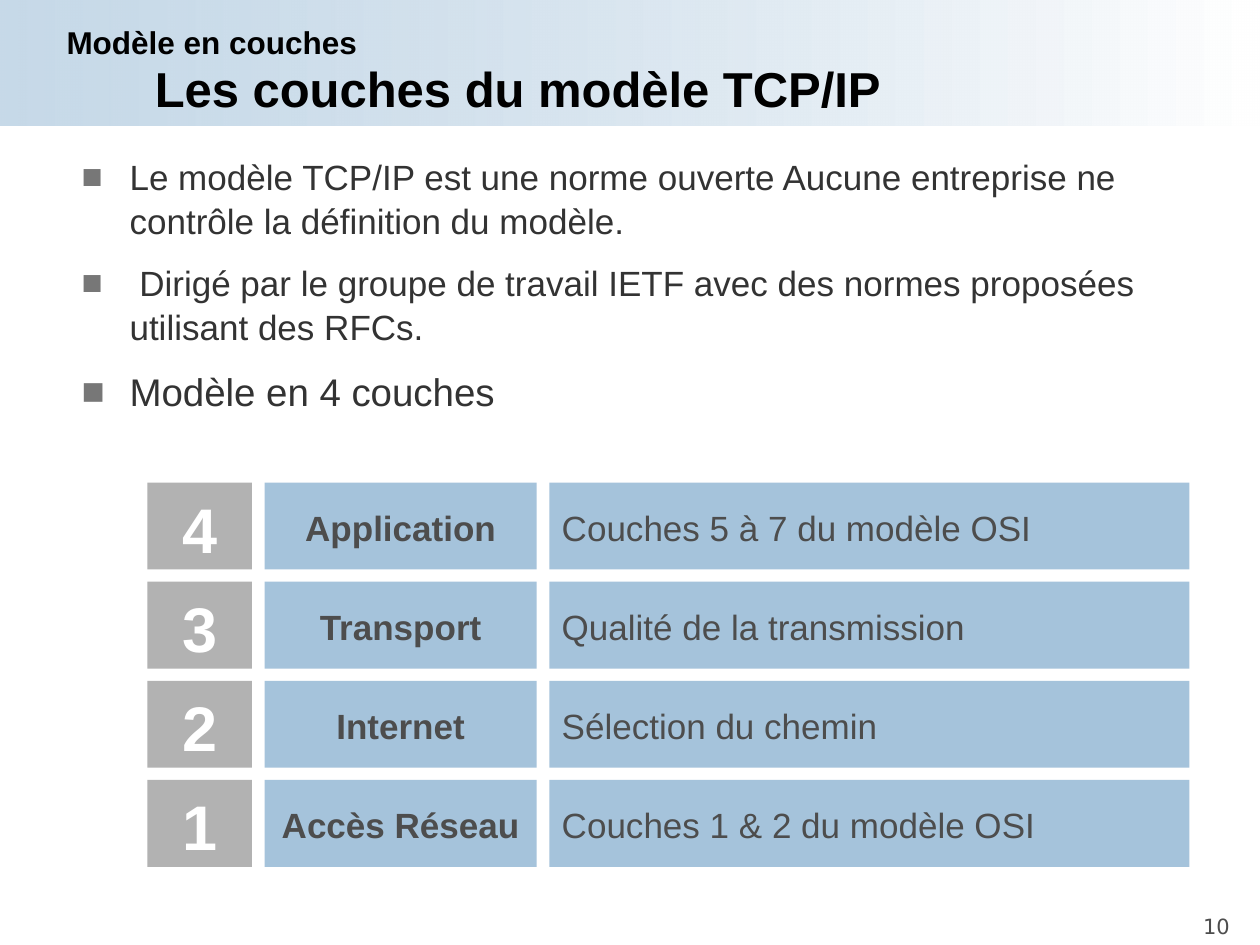
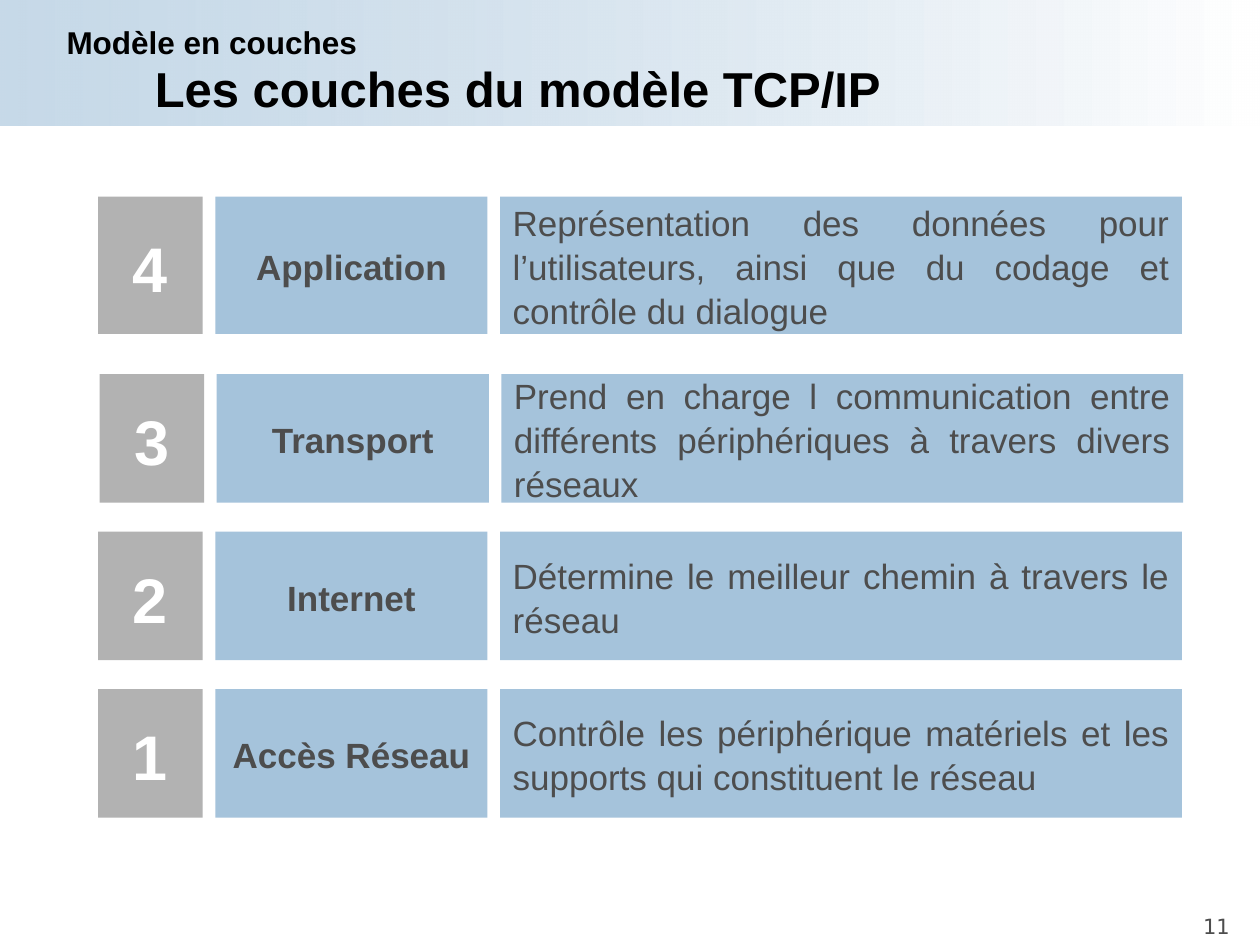
from lxml.etree import SubElement
from pptx import Presentation
from pptx.dml.color import RGBColor
from pptx.enum.shapes import MSO_SHAPE as Shape
from pptx.enum.text import MSO_ANCHOR as Anchor, MSO_AUTO_SIZE as AutoSize, PP_ALIGN as Align
from pptx.oxml.ns import qn
from pptx.util import Inches, Pt

COLORS = {
    "blue": "A5C3DB",
    "gray": "B2B2B2",
    "white": "FFFFFF",
    "black": "000000",
    "body": "333333",
    "label": "4D4D4D",
    "bullet": "777777",
}
LAYERS = ["Application", "Transport", "Internet", "Accès Réseau"]
NUMBER_W, NAME_W, GAP = 0.83, 2.16, 0.1


def rgb(name):
    return RGBColor.from_string(COLORS[name])


class Deck:
    font = "Arial"
    line_spacing = 1.05

    def __init__(self):
        self.prs = Presentation()
        self.prs.slide_width, self.prs.slide_height = Inches(10), Inches(7.5)
        self.s = None

    def slide(self, number):
        self.s = self.prs.slides.add_slide(self.prs.slide_layouts[6])
        self.band()
        self.text(9.45, 7.19, 0.55, 0.3, str(number), 12, "label", font="DejaVu Sans")
        self.text(1.13, 0.44, 8.45, 0.49, "Les couches du modèle TCP/IP", 28,
                  bold=True, anchor=Anchor.MIDDLE)
        self.text(0.43, 0.12, 8.94, 0.4, "Modèle en couches", 18, bold=True)

    def rect(self, x, y, w, h):
        sp = self.s.shapes.add_shape(Shape.RECTANGLE, Inches(x), Inches(y), Inches(w), Inches(h))
        sp.shadow.inherit = False
        sp.line.fill.background()
        return sp

    def band(self):
        sp = self.rect(0, 0, 10, 1)
        sp.fill.gradient()
        sp.fill.gradient_angle = 0
        for stop, color, position in zip(sp.fill.gradient_stops, ("blue", "white"), (0, 1)):
            stop.color.rgb = rgb(color)
            stop.position = position
        first = next(sp._element.iter(qn("a:srgbClr")))
        SubElement(first, qn("a:alpha"), val="62000")

    def run(self, p, text, size, color, bold=False, align=Align.LEFT, font=None):
        p.alignment = align
        p.line_spacing = self.line_spacing
        r = p.add_run()
        r.text = text
        r.font.name = font or self.font
        r.font.size = Pt(size)
        r.font.bold = bold
        r.font.color.rgb = rgb(color)

    def frame(self, x, y, w, h, anchor=Anchor.TOP):
        tf = self.s.shapes.add_textbox(Inches(x), Inches(y), Inches(w), Inches(h)).text_frame
        tf.word_wrap = True
        tf.vertical_anchor = anchor
        tf.auto_size = AutoSize.SHAPE_TO_FIT_TEXT if anchor == Anchor.TOP else AutoSize.NONE
        return tf

    def text(self, x, y, w, h, text, size, color="black", bold=False, anchor=Anchor.TOP, font=None):
        tf = self.frame(x, y, w, h, anchor)
        self.run(tf.paragraphs[0], text, size, color, bold, font=font)

    def bullets(self, x, y, w, h, items):
        tf = self.frame(x, y, w, h)
        for i, (text, size) in enumerate(items):
            p = tf.add_paragraph() if i else tf.paragraphs[0]
            self.run(p, text, size, "body")
            p.space_before, p.space_after = Pt(size * 0.2), Pt(size * 0.3)
            pPr = p._p.get_or_add_pPr()
            pPr.set("marL", str(Inches(0.38)))
            pPr.set("indent", str(-Inches(0.38)))
            color = SubElement(pPr, qn("a:buClr"))
            SubElement(color, qn("a:srgbClr"), val=COLORS["bullet"])
            SubElement(pPr, qn("a:buFont"), typeface=self.font)
            SubElement(pPr, qn("a:buChar"), char="■")

    def box(self, x, y, w, h, text, fill="blue", size=20, color="label", bold=False,
            align=Align.CENTER):
        sp = self.rect(x, y, w, h)
        sp.fill.solid()
        sp.fill.fore_color.rgb = rgb(fill)
        tf = sp.text_frame
        tf.word_wrap = True
        tf.vertical_anchor = Anchor.MIDDLE
        self.run(tf.paragraphs[0], text, size, color, bold, align)

    def layer(self, x, y, h, number, name, role, role_w, align):
        name_x = x + NUMBER_W + GAP
        role_x = name_x + NAME_W + GAP
        self.box(x, y, NUMBER_W, h, str(number), "gray", 36, "white", True)
        self.box(name_x, y, NAME_W, h, name, bold=True)
        self.box(role_x, y, role_w, h, role, align=align)

    def layers(self, rows, role_w, align):
        for i, (name, (x, y, h, role)) in enumerate(zip(LAYERS, rows)):
            self.layer(x, y, h, len(LAYERS) - i, name, role, role_w, align)


def main():
    deck = Deck()

    deck.slide(10)
    roles = ["Couches 5 à 7 du modèle OSI", "Qualité de la transmission",
             "Sélection du chemin", "Couches 1 & 2 du modèle OSI"]
    step = (6.19 - 3.83) / 3
    deck.layers([(1.17, 3.83 + i * step, 0.69, role) for i, role in enumerate(roles)],
                5.08, Align.LEFT)
    deck.bullets(0.55, 1.17, 8.59, 2.16, [
        ("Le modèle TCP/IP est une norme ouverte Aucune entreprise ne contrôle "
         "la définition du modèle.", 20),
        (" Dirigé par le groupe de travail IETF avec des normes proposées "
         "utilisant des RFCs.", 20),
        ("Modèle en 4 couches", 22),
    ])

    deck.slide(11)
    deck.layers([
        (0.78, 1.56, 1.09, "Représentation des données pour l’utilisateurs, ainsi que "
                           "du codage et contrôle du dialogue"),
        (0.79, 2.97, 1.02, "Prend en charge l communication entre différents "
                           "périphériques à travers divers réseaux"),
        (0.78, 4.22, 1.02, "Détermine le meilleur chemin à travers le réseau"),
        (0.78, 5.47, 1.02, "Contrôle les périphérique matériels et les supports "
                           "qui constituent le réseau"),
    ], 5.41, Align.JUSTIFY)

    deck.prs.save("out.pptx")


if __name__ == "__main__":
    main()
